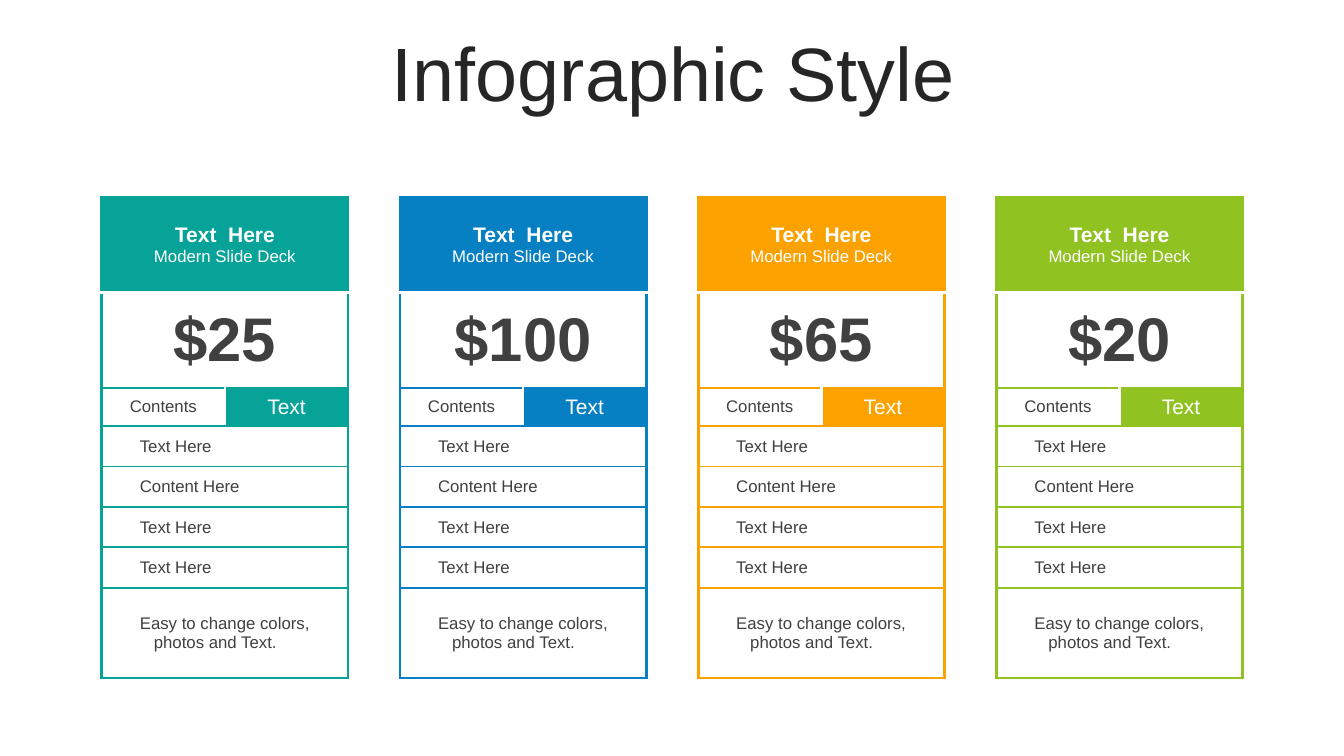
from lxml.etree import SubElement
from pptx import Presentation
from pptx.dml.color import RGBColor
from pptx.enum.text import MSO_ANCHOR as Anchor, PP_ALIGN as Align
from pptx.oxml import parse_xml
from pptx.oxml.ns import nsdecls, qn
from pptx.util import Pt

FONT = "Arial"
WHITE, DARK, TITLE_COLOR = "FFFFFF", "404040", "262626"
NO_STYLE = "{2D5ABB26-0587-4C30-8999-92F81FD0307C}"
THICK, THIN = 2.25, 1.5

COLUMN_WIDTHS = [20, 68, 68, 20]
ROW_HEIGHTS = [68, 68] + [27.5] * 5 + [64.5]
ITEMS = ["Text Here", "Content Here", "Text Here", "Text Here"]
PLANS = [("$25", "07A398"), ("$100", "0680C3"), ("$65", "FBA200"), ("$20", "90C221")]


def rgb(value):
    return RGBColor.from_string(value)


def style_paragraph(paragraph, text, size, color, bold=False, align=Align.CENTER):
    paragraph.text = text
    paragraph.alignment = align
    font = paragraph.font
    font.name, font.size, font.bold = FONT, Pt(size), bold
    font.color.rgb = rgb(color)


def set_borders(cell, **borders):
    """Draw the sides L, R, T and B, each given as (colour, width)."""
    properties = cell._tc.get_or_add_tcPr()
    sides = [side for side in "LRTB" if side in borders]
    for position, side in enumerate(sides):
        color, width = borders[side]
        line = parse_xml(f'<a:ln{side} {nsdecls("a")} w="{int(Pt(width))}"/>')
        fill = SubElement(line, qn("a:solidFill"))
        SubElement(fill, qn("a:srgbClr"), val=color)
        properties.insert(position, line)


def fill_cell(table, row, first, last, fill, lines=(), **borders):
    """Merge columns first to last of a row; lines hold style_paragraph arguments."""
    cell = table.cell(row, first)
    if last > first:
        cell.merge(table.cell(row, last))
    cell.fill.solid()
    cell.fill.fore_color.rgb = rgb(fill)
    cell.vertical_anchor = Anchor.MIDDLE
    frame = cell.text_frame
    for index, line in enumerate(lines):
        paragraph = frame.add_paragraph() if index else frame.paragraphs[0]
        style_paragraph(paragraph, *line)
    set_borders(cell, **borders)
    return cell


def add_title(slide, left, top, width, height):
    box = slide.shapes.add_textbox(Pt(left), Pt(top), Pt(width), Pt(height))
    frame = box.text_frame
    frame.word_wrap = True
    frame.vertical_anchor = Anchor.MIDDLE
    paragraph = frame.paragraphs[0]
    style_paragraph(paragraph, "Infographic Style", 54, TITLE_COLOR)
    paragraph.line_spacing = 0.9
    paragraph.space_before = Pt(10)


def add_price_table(slide, left, top, price, color):
    frame = slide.shapes.add_table(
        len(ROW_HEIGHTS), len(COLUMN_WIDTHS), Pt(left), Pt(top),
        Pt(sum(COLUMN_WIDTHS)), Pt(sum(ROW_HEIGHTS)))
    table = frame.table
    table.first_row = table.horz_banding = False
    table._tbl.tblPr.find(qn("a:tableStyleId")).text = NO_STYLE
    for column, width in zip(table.columns, COLUMN_WIDTHS):
        column.width = Pt(width)
    for row, height in zip(table.rows, ROW_HEIGHTS):
        row.height = Pt(height)

    edge, rule, gap = (color, THICK), (color, THIN), (WHITE, THICK)

    # Header and price
    fill_cell(table, 0, 0, 3, color,
              [("Text  Here", 15, WHITE, True), ("Modern Slide Deck", 12, WHITE)],
              L=edge, R=edge, T=edge, B=gap)
    fill_cell(table, 1, 0, 3, WHITE, [(price, 44, DARK, True)],
              L=edge, R=edge, T=gap, B=rule)

    # Two tabs
    fill_cell(table, 2, 0, 1, WHITE, [("Contents", 12, DARK)],
              L=edge, R=gap, T=rule, B=rule)
    fill_cell(table, 2, 2, 3, color, [("Text", 15, WHITE)],
              L=gap, R=edge, T=rule, B=rule)

    # Items and closing note
    note_row = len(ROW_HEIGHTS) - 1
    texts = ITEMS + ["Easy to change colors, photos and Text."]
    for row, text in enumerate(texts, start=3):
        bottom = edge if row == note_row else rule
        fill_cell(table, row, 0, 0, WHITE, L=edge, T=rule, B=bottom)
        body = fill_cell(table, row, 1, 2, WHITE, [(text, 12, DARK, False, Align.LEFT)],
                         T=rule, B=bottom)
        fill_cell(table, row, 3, 3, WHITE, R=edge, T=rule, B=bottom)

    # The note's second line is indented
    indent = int(Pt(10))
    properties = body.text_frame.paragraphs[0]._p.get_or_add_pPr()
    properties.set("marL", str(indent))
    properties.set("indent", str(-indent))


def main():
    presentation = Presentation()
    presentation.slide_width, presentation.slide_height = Pt(960), Pt(540)
    slide = presentation.slides.add_slide(presentation.slide_layouts[6])
    add_title(slide, 25, 26.5, 912, 57)
    for index, (price, color) in enumerate(PLANS):
        add_price_table(slide, 72.7 + 213 * index, 141, price, color)
    presentation.save("out.pptx")


if __name__ == "__main__":
    main()
